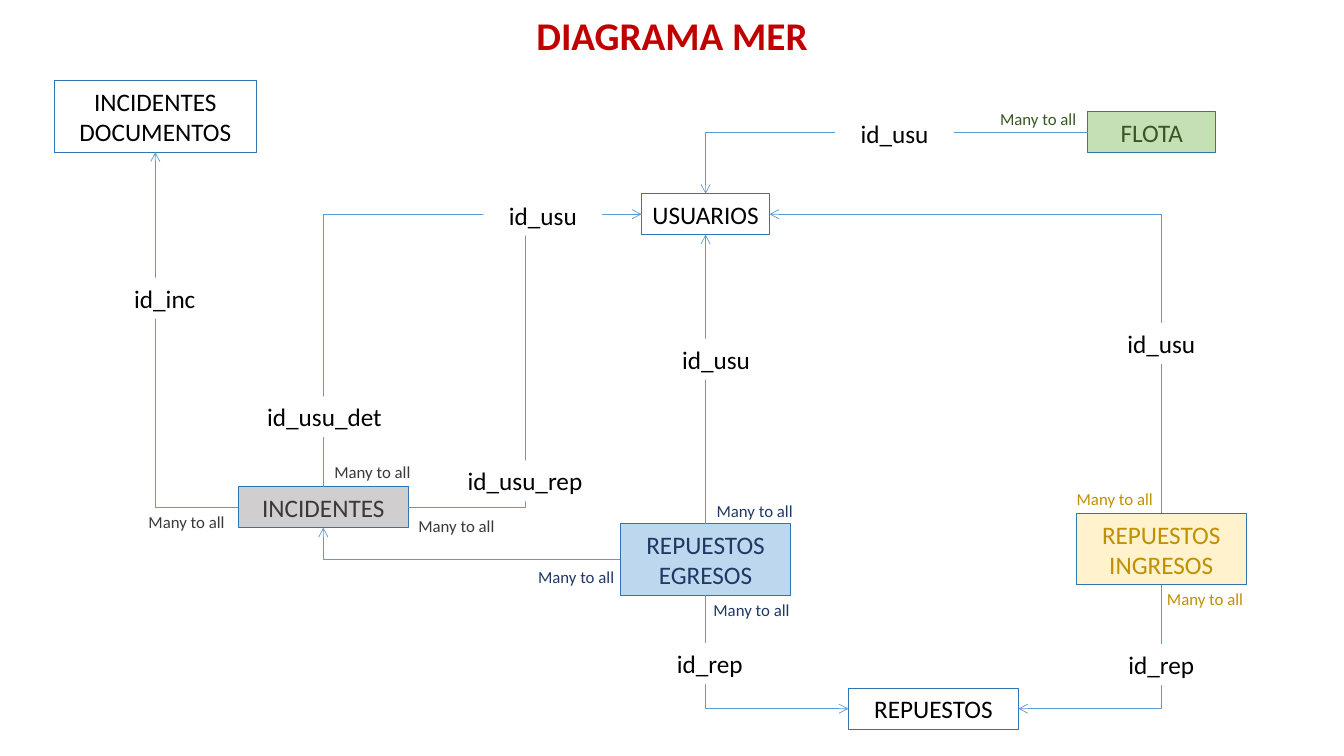
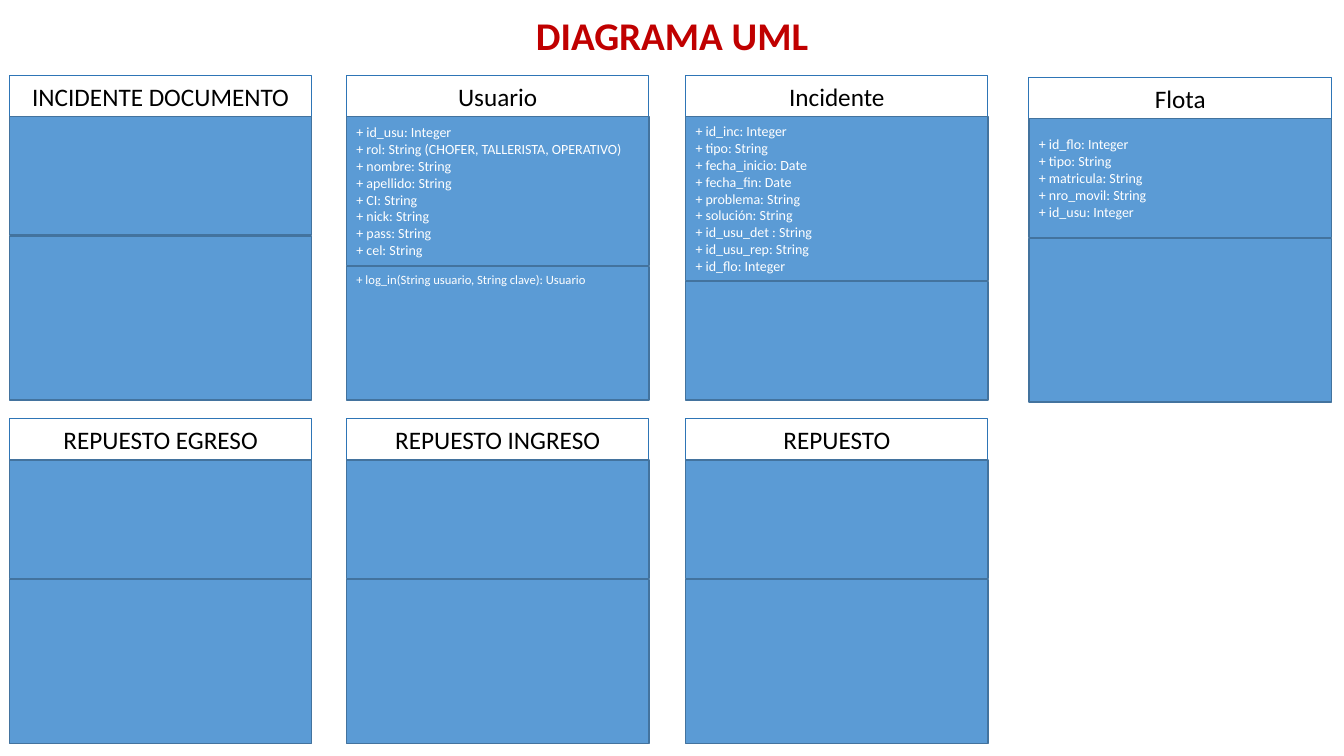
from pptx import Presentation
from pptx.dml.color import RGBColor
from pptx.enum.shapes import MSO_CONNECTOR, MSO_SHAPE
from pptx.enum.text import MSO_ANCHOR, MSO_AUTO_SIZE, PP_ALIGN
from pptx.oxml.ns import qn
from pptx.util import Inches, Pt
from lxml import etree

RECTANGLE = MSO_SHAPE.RECTANGLE
STRAIGHT, ELBOW = MSO_CONNECTOR.STRAIGHT, MSO_CONNECTOR.ELBOW
CENTER, LEFT = PP_ALIGN.CENTER, PP_ALIGN.LEFT
TOP, MIDDLE = MSO_ANCHOR.TOP, MSO_ANCHOR.MIDDLE
NO_AUTOFIT = MSO_AUTO_SIZE.NONE

SLIDE_WIDTH, SLIDE_HEIGHT = Inches(13.333), Inches(7.5)
COLUMNS, ROWS = 128, 72
FONT = "Calibri"
TITLE_ONLY = 5
ROW_HEIGHT = 3.9
CARD_WIDTH, CARD_HEIGHT, CARD_GAP = 28.8, 30.9, 0.1
TOP_SIDE, LEFT_SIDE, BOTTOM_SIDE, RIGHT_SIDE = range(4)

COLORS = {
    "title": "C00000",
    "text": "000000",
    "white": "FFFFFF",
    "border": "2E75B6",
    "relation": "5B9BD5",
    "class": "5B9BD5",
    "class_border": "43739E",
    "fleet": "C5E0B4",
    "fleet_text": "385723",
    "incident": "D0CECE",
    "incident_text": "3B3838",
    "income": "FFF2CC",
    "income_text": "BF9000",
    "outgo": "BDD7EE",
    "outgo_text": "203864",
}

ENTITIES = {
    "USUARIOS": (67.2, 20.4, 12.2, ROW_HEIGHT, None, "text"),
    "FLOTA": (109.7, 12.6, 12.2, ROW_HEIGHT, "fleet", "fleet_text"),
    "INCIDENTES": (30.8, 48.3, 16.2, ROW_HEIGHT, "incident", "incident_text"),
    "REPUESTOS": (88.9, 67.5, 16.2, ROW_HEIGHT, None, "text"),
    "INCIDENTES DOCUMENTOS": (14.8, 11.1, 19.3, 6.8, None, "text"),
    "REPUESTOS INGRESOS": (110.6, 52.3, 16.2, 6.8, "income", "income_text"),
    "REPUESTOS EGRESOS": (67.2, 53.3, 16.2, 6.8, "outgo", "outgo_text"),
}

RELATIONS = [
    ("FLOTA", LEFT_SIDE, "USUARIOS", TOP_SIDE, "bentConnector2", "tailEnd"),
    ("USUARIOS", LEFT_SIDE, "INCIDENTES", TOP_SIDE, "bentConnector2", None),
    ("INCIDENTES", LEFT_SIDE, "INCIDENTES DOCUMENTOS", BOTTOM_SIDE, "bentConnector2", "tailEnd"),
    ("REPUESTOS", RIGHT_SIDE, "REPUESTOS INGRESOS", BOTTOM_SIDE, "bentConnector2", "headEnd"),
    ("REPUESTOS", LEFT_SIDE, "REPUESTOS EGRESOS", BOTTOM_SIDE, "bentConnector2", "headEnd"),
    ("REPUESTOS EGRESOS", LEFT_SIDE, "INCIDENTES", BOTTOM_SIDE, "bentConnector2", "tailEnd"),
    ("REPUESTOS EGRESOS", TOP_SIDE, "USUARIOS", BOTTOM_SIDE, "line", "tailEnd"),
    ("USUARIOS", RIGHT_SIDE, "REPUESTOS INGRESOS", TOP_SIDE, "bentConnector2", "headEnd"),
    ("USUARIOS", LEFT_SIDE, "INCIDENTES", RIGHT_SIDE, "bentConnector3", "headEnd"),
]

KEYS = [
    ("id_usu", 85.2, 12.7, 11.3),
    ("id_inc", 15.7, 28.4, 11.3),
    ("id_usu_det", 30.9, 39.7, 13.8),
    ("id_usu", 68.2, 34.2, 11.3),
    ("id_usu", 110.6, 32.7, 11.3),
    ("id_usu_rep", 50, 45.8, 13.8),
    ("id_rep", 110.6, 63.3, 11.3),
    ("id_rep", 67.6, 63.2, 11.3),
    ("id_usu", 51.7, 20.5, 11.3),
]

MULTIPLICITIES = [
    (13.2, 48.3, "incident_text"),
    (30.9, 43.5, "incident_text"),
    (38.9, 48.6, "incident_text"),
    (50.3, 53.5, "outgo_text"),
    (67, 56.6, "outgo_text"),
    (67.3, 47.2, "outgo_text"),
    (110.2, 55.6, "income_text"),
    (101.6, 46.1, "income_text"),
    (94.3, 9.9, "fleet_text"),
]

CARD_LEFTS = [0.9, 33, 65.3, 98]
UPPER_TOP, FLEET_TOP, LOWER_TOP = 7.2, 7.4, 39.9
CLASSES = [
    ("INCIDENTE DOCUMENTO", 0, UPPER_TOP, 11.3, [], []),
    ("Usuario", 1, UPPER_TOP, 14.2, [
        "+ id_usu: Integer",
        "+ rol: String (CHOFER, TALLERISTA, OPERATIVO)",
        "+ nombre: String",
        "+ apellido: String",
        "+ CI: String",
        "+ nick: String",
        "+ pass: String",
        "+ cel: String",
    ], ["+ log_in(String usuario, String clave): Usuario"]),
    ("Incidente", 2, UPPER_TOP, 15.6, [
        "+ id_inc: Integer",
        "+ tipo: String",
        "+ fecha_inicio: Date",
        "+ fecha_fin: Date",
        "+ problema: String",
        "+ solución: String",
        "+ id_usu_det : String",
        "+ id_usu_rep: String",
        "+ id_flo: Integer",
    ], []),
    ("Flota", 3, FLEET_TOP, 11.3, [
        "+ id_flo: Integer",
        "+ tipo: String",
        "+ matricula: String",
        "+ nro_movil: String",
        "+ id_usu: Integer",
    ], []),
    ("REPUESTO EGRESO", 0, LOWER_TOP, 11.3, [], []),
    ("REPUESTO INGRESO", 1, LOWER_TOP, 11.3, [], []),
    ("REPUESTO", 2, LOWER_TOP, 11.3, [], []),
]


def rgb(color):
    return RGBColor.from_string(COLORS[color])


def col(count):
    return round(SLIDE_WIDTH * count / COLUMNS)


def row(count):
    return round(SLIDE_HEIGHT * count / ROWS)


def area(left, top, width, height):
    return col(left), row(top), col(width), row(height)


def write(frame, lines, size, color, align=CENTER, anchor=MIDDLE, bold=False):
    frame.word_wrap = True
    frame.auto_size = NO_AUTOFIT
    frame.vertical_anchor = anchor
    for index, line in enumerate(lines):
        paragraph = frame.add_paragraph() if index else frame.paragraphs[0]
        paragraph.text = line
        paragraph.alignment = align
        paragraph.font.name = FONT
        paragraph.font.size = Pt(size)
        paragraph.font.bold = bold
        paragraph.font.color.rgb = rgb(color)


def add_titled_slide(deck, heading):
    slide = deck.slides.add_slide(deck.slide_layouts[TITLE_ONLY])
    title = slide.shapes.title
    title.left, title.top, title.width, title.height = area(0, 0.6, COLUMNS, 5.5)
    write(title.text_frame, [heading], 28, "title", bold=True)
    return slide


def add_box(slide, place, fill=None, border=None, weight=0.75):
    box = slide.shapes.add_shape(RECTANGLE, *area(*place))
    box.shadow.inherit = False
    if fill:
        box.fill.solid()
        box.fill.fore_color.rgb = rgb(fill)
    else:
        box.fill.background()
    if border:
        box.line.color.rgb = rgb(border)
        box.line.width = Pt(weight)
    else:
        box.line.fill.background()
    return box


def add_entity(slide, name, center, middle, width, height, fill, color):
    place = center - width / 2, middle - height / 2, width, height
    entity = add_box(slide, place, fill, "border")
    write(entity.text_frame, [name], 18, color)
    return entity


def add_relation(slide, start, start_side, end, end_side, route, arrow):
    kind = STRAIGHT if route == "line" else ELBOW
    relation = slide.shapes.add_connector(kind, 0, 0, 0, 0)
    relation.begin_connect(start, start_side)
    relation.end_connect(end, end_side)
    relation.line.color.rgb = rgb("relation")
    relation.line.width = Pt(0.5)
    properties = relation._element.spPr
    properties.find(qn("a:prstGeom")).set("prst", route)
    if arrow:
        etree.SubElement(properties.find(qn("a:ln")), qn(f"a:{arrow}"), type="arrow")
    etree.SubElement(properties, qn("a:effectLst"))


def add_key(slide, name, center, middle, width):
    place = center - width / 2, middle - ROW_HEIGHT / 2, width, ROW_HEIGHT
    write(add_box(slide, place, "white").text_frame, [name], 18, "text")


def add_multiplicity(slide, left, top, color):
    note = slide.shapes.add_textbox(*area(left, top, 9.7, 2.9))
    write(note.text_frame, ["Many to all"], 12, color, LEFT, TOP)


def add_class_card(slide, name, column, top, attributes_height, attributes, methods):
    left = CARD_LEFTS[column]
    header = add_box(slide, (left, top, CARD_WIDTH, ROW_HEIGHT), "white", "border")
    write(header.text_frame, [name], 18, "text")
    attributes_top = top + ROW_HEIGHT
    methods_top = attributes_top + attributes_height + CARD_GAP
    methods_height = top + CARD_HEIGHT - methods_top
    sections = [
        (attributes_top, attributes_height, attributes, 10, MIDDLE),
        (methods_top, methods_height, methods, 9, TOP),
    ]
    for section_top, height, members, size, anchor in sections:
        place = left, section_top, CARD_WIDTH, height
        section = add_box(slide, place, "class", "class_border", 1)
        write(section.text_frame, members, size, "white", LEFT, anchor)


def build_entity_slide(deck):
    slide = add_titled_slide(deck, "DIAGRAMA MER")
    entities = {name: add_entity(slide, name, *layout) for name, layout in ENTITIES.items()}
    for start, start_side, end, end_side, route, arrow in RELATIONS:
        add_relation(slide, entities[start], start_side, entities[end], end_side, route, arrow)
    for key in KEYS:
        add_key(slide, *key)
    for multiplicity in MULTIPLICITIES:
        add_multiplicity(slide, *multiplicity)


def build_class_slide(deck):
    slide = add_titled_slide(deck, "DIAGRAMA UML")
    for card in CLASSES:
        add_class_card(slide, *card)


def main():
    deck = Presentation()
    deck.slide_width, deck.slide_height = SLIDE_WIDTH, SLIDE_HEIGHT
    build_entity_slide(deck)
    build_class_slide(deck)
    deck.save("out.pptx")


if __name__ == "__main__":
    main()
